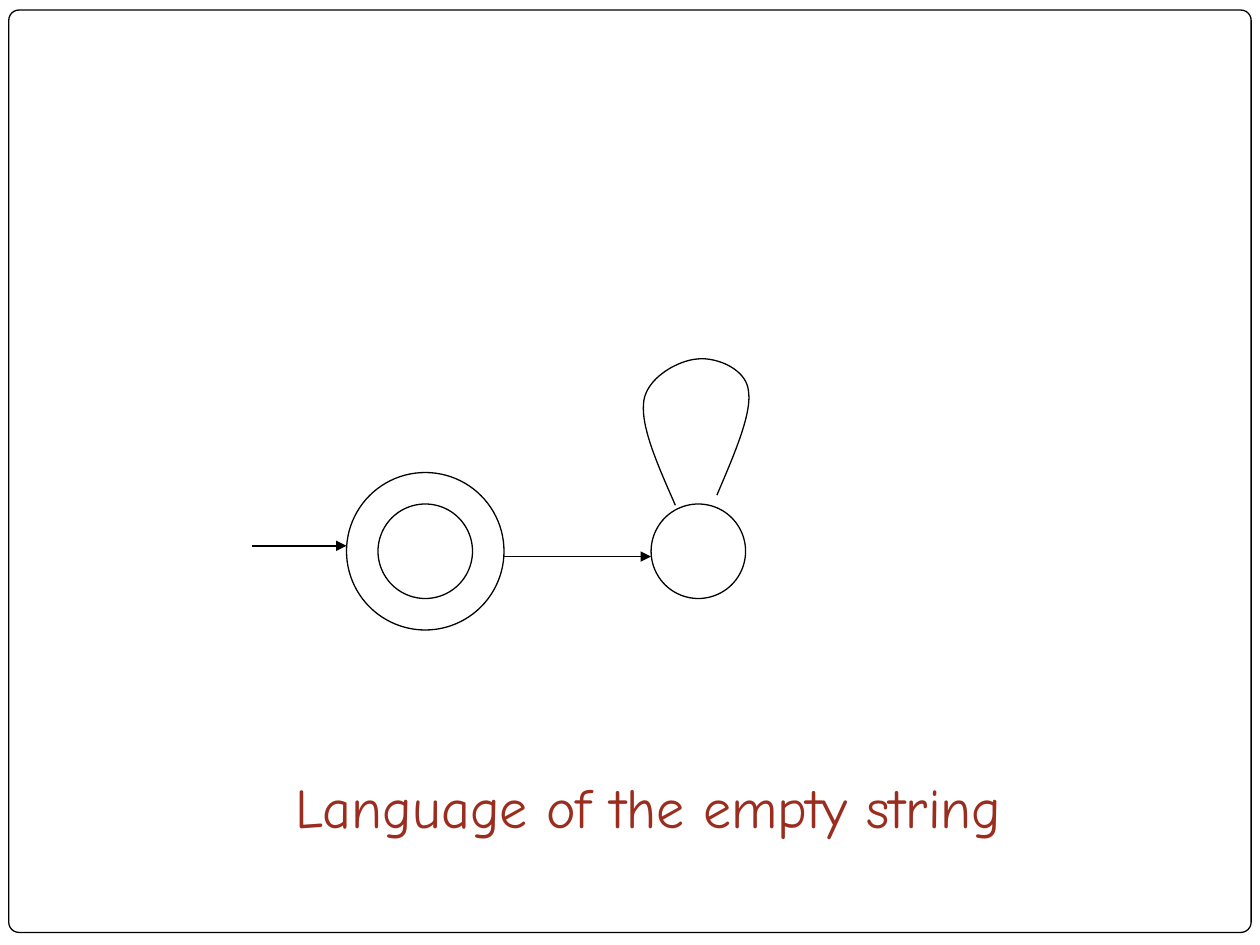
from dataclasses import dataclass

from lxml.etree import SubElement
from pptx import Presentation
from pptx.dml.color import RGBColor
from pptx.enum.shapes import MSO_CONNECTOR, MSO_SHAPE
from pptx.enum.text import MSO_AUTO_SIZE
from pptx.oxml.ns import qn
from pptx.util import Inches, Pt


@dataclass(frozen=True)
class Theme:
    ink: RGBColor = RGBColor(0x00, 0x00, 0x00)
    paper: RGBColor = RGBColor(0xFF, 0xFF, 0xFF)
    caption: RGBColor = RGBColor(0x9B, 0x2D, 0x1F)
    font: str = "Comic Neue"
    caption_size: int = 32
    line_width: float = 0.75


THEME = Theme()
CELL = 0.25  # grid step in inches: the slide has 40 columns and 30 rows
STATE_ROW = 17.5
START_COLUMN, TRAP_COLUMN = 13.5, 22.17
INNER_RADIUS, OUTER_RADIUS = 1.5, 2.5


def grid(*cells):
    return [Inches(cell * CELL) for cell in cells]


def draw_line(shape):
    shape.line.color.rgb = THEME.ink
    shape.line.width = Pt(THEME.line_width)


def add_frame(page):
    frame = page.shapes.add_shape(
        MSO_SHAPE.ROUNDED_RECTANGLE, *grid(0.28, 0.32, 39.44, 29.28))
    frame.adjustments[0] = 0.011
    frame.shadow.inherit = False
    frame.fill.solid()
    frame.fill.fore_color.rgb = THEME.paper
    draw_line(frame)


def add_state(page, column, radius):
    """Draw a circle centred on the state row."""
    state = page.shapes.add_shape(
        MSO_SHAPE.OVAL,
        *grid(column - radius, STATE_ROW - radius, 2 * radius, 2 * radius))
    state.shadow.inherit = False
    state.fill.background()
    draw_line(state)


def add_arrow(page, start_column, end_column, row):
    arrow = page.shapes.add_connector(
        MSO_CONNECTOR.STRAIGHT, *grid(start_column, row, end_column, row))
    draw_line(arrow)
    SubElement(arrow.line._get_or_add_ln(), qn("a:tailEnd"), type="triangle")
    SubElement(arrow._element.spPr, qn("a:effectLst"))


def bezier_point(corners, t):
    weights = ((1 - t) ** 3, 3 * t * (1 - t) ** 2, 3 * t ** 2 * (1 - t), t ** 3)
    return tuple(sum(weight * corner[axis] for weight, corner in zip(weights, corners))
                 for axis in (0, 1))


def add_loop(page, start, curves, steps=20):
    """Draw an open outline through cubic curves, given in inches."""
    builder = page.shapes.build_freeform(
        Inches(start[0]), Inches(start[1]), scale=1)
    for curve in curves:
        points = [bezier_point((start, *curve), step / steps)
                  for step in range(1, steps + 1)]
        builder.add_line_segments(
            [(Inches(x), Inches(y)) for x, y in points], close=False)
        start = curve[-1]
    loop = builder.convert_to_shape()
    loop.shadow.inherit = False
    loop.fill.background()
    draw_line(loop)


def add_caption(page, text):
    box = page.shapes.add_textbox(*grid(9, 24.32, 25.16, 2.52))
    box.text_frame.word_wrap = True
    box.text_frame.auto_size = MSO_AUTO_SIZE.SHAPE_TO_FIT_TEXT
    span = box.text_frame.paragraphs[0].add_run()
    span.text = text
    span.font.name = THEME.font
    span.font.size = Pt(THEME.caption_size)
    span.font.color.rgb = THEME.caption


def main():
    deck = Presentation()
    deck.slide_width, deck.slide_height = grid(40, 30)
    page = deck.slides.add_slide(deck.slide_layouts[6])

    add_frame(page)
    add_state(page, TRAP_COLUMN, INNER_RADIUS)
    add_arrow(page, START_COLUMN + OUTER_RADIUS, TRAP_COLUMN - INNER_RADIUS, 17.67)
    add_loop(page, (5.36, 4.01), [
        ((5.22, 3.69), (5.08, 3.38), (5.11, 3.18)),
        ((5.14, 2.99), (5.39, 2.86), (5.53, 2.85)),
        ((5.67, 2.83), (5.92, 2.92), (5.94, 3.10)),
        ((5.97, 3.28), (5.83, 3.60), (5.69, 3.93)),
    ])
    for radius in (OUTER_RADIUS, INNER_RADIUS):
        add_state(page, START_COLUMN, radius)
    add_arrow(page, 8, START_COLUMN - OUTER_RADIUS, 17.33)
    add_caption(page, "Language of the empty string")

    deck.save("out.pptx")


if __name__ == "__main__":
    main()
